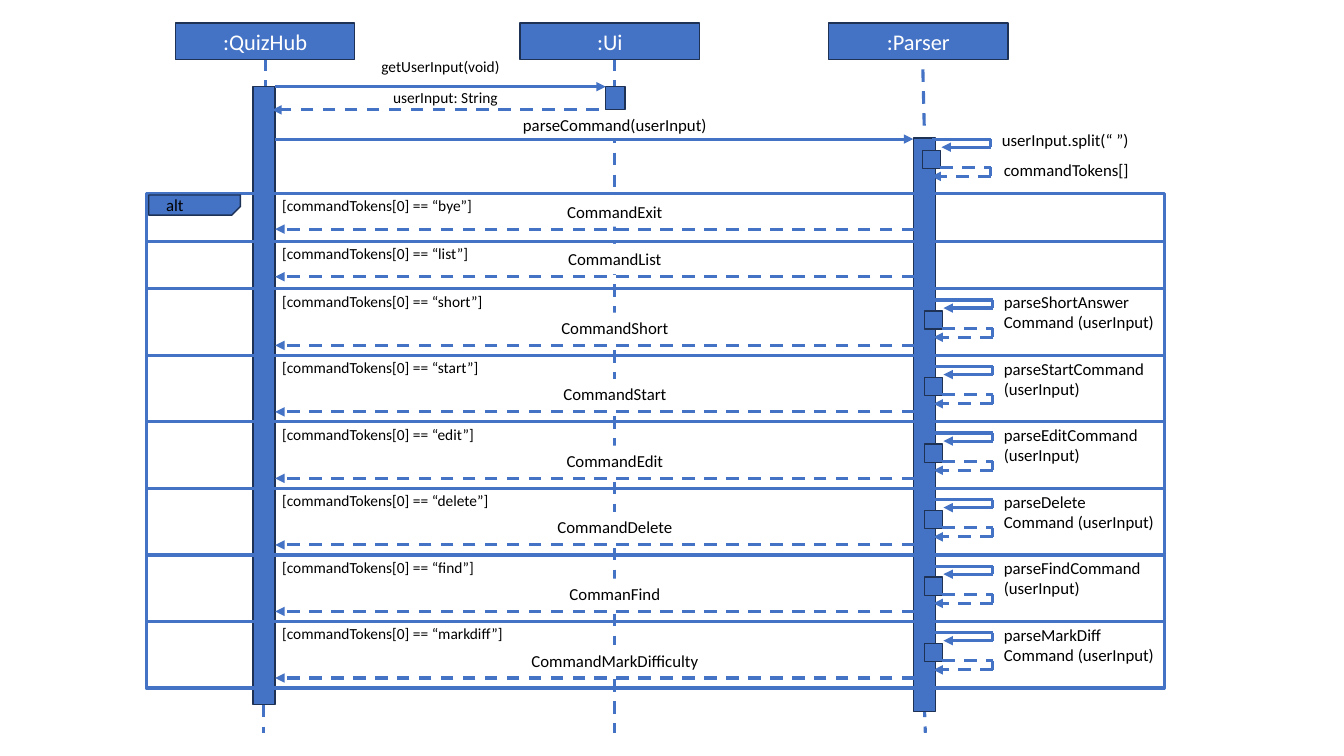
from lxml.etree import SubElement
from pptx import Presentation
from pptx.dml.color import RGBColor
from pptx.enum.dml import MSO_LINE
from pptx.enum.shapes import MSO_CONNECTOR, MSO_SHAPE
from pptx.enum.text import MSO_ANCHOR, MSO_AUTO_SIZE, PP_ALIGN
from pptx.oxml.ns import qn
from pptx.util import Inches, Pt

BLUE = RGBColor(0x44, 0x72, 0xC4)
NAVY = RGBColor(0x1E, 0x32, 0x56)
WHITE = RGBColor(0xFF, 0xFF, 0xFF)
BLACK = RGBColor(0x00, 0x00, 0x00)

CELL = Inches(0.1)
COLUMNS, ROWS = 133.33, 75
UI_LINE = 61
QUIZ_EDGE, PARSER_EDGE = 27.3, 90.6
BAR_WIDTH, SQUARE = 2.2, 1.8
FRAME_LEFT, FRAME_WIDTH, FRAME_TOP = 14.5, 101, 19.2
SHORT_ROW, TALL_ROW = 4.73, 6.6
LABEL_HEIGHT = 3

BODY = {"size": Pt(12), "name": "Calibri"}
SMALL = {"size": Pt(11), "name": "Calibri"}
HEADING = {"size": Pt(16), "name": "Calibri"}
GROWING = {"word_wrap": True, "auto_size": MSO_AUTO_SIZE.SHAPE_TO_FIT_TEXT}
MIDDLE = {"word_wrap": True, "vertical_anchor": MSO_ANCHOR.MIDDLE}

PARTICIPANTS = [(":QuizHub", 26.3), (":Ui", 60.5), (":Parser", 91.1)]
LIFELINES = [
    (26.3, 5.8, 26.3, 8.6),
    (UI_LINE, 5.8, UI_LINE, 8.6),
    (91.5, 4.7, 91.7, 12.9),
    (26.1, 69.9, 26.1, 72.7),
    (91.7, 69.9, 91.8, 72.7),
]
ALTERNATIVES = [
    ("bye", "CommandExit", 11.6, None),
    ("list", "CommandList", 11.6, None),
    ("short", "CommandShort", 12.8, "parseShortAnswer\nCommand (userInput)"),
    ("start", "CommandStart", 12.8, "parseStartCommand (userInput)"),
    ("edit", "CommandEdit", 12.8, "parseEditCommand (userInput)"),
    ("delete", "CommandDelete", 14.2, "parseDelete\nCommand (userInput)"),
    ("find", "CommanFind", 12.8, "parseFindCommand (userInput)"),
    ("markdiff", "CommandMarkDifficulty", 18.9, "parseMarkDiff\nCommand (userInput)"),
]


def cells(*counts):
    """Turn counts of grid cells into slide lengths."""
    return [round(count * CELL) for count in counts]


def apply(target, formats):
    """Set each format value on the target."""
    for name, value in formats.items():
        setattr(target, name, value)


def write(box, text, font, color=BLACK, align=PP_ALIGN.LEFT, frame=GROWING):
    """Write one paragraph for each line of text."""
    apply(box.text_frame, frame)
    for index, line in enumerate(text.split("\n")):
        paras = box.text_frame
        para = paras.add_paragraph() if index else paras.paragraphs[0]
        para.alignment = align
        span = para.add_run()
        span.text = line
        apply(span.font, font)
        span.font.color.rgb = color


def add_text(page, place, text, font=BODY, align=PP_ALIGN.LEFT):
    """Add a plain text box."""
    write(page.shapes.add_textbox(*cells(*place)), text, font, align=align)


def add_box(page, place, fill=BLUE, line=NAVY, width=1, kind=MSO_SHAPE.RECTANGLE):
    """Add a preset shape; None leaves out the fill or the line."""
    box = page.shapes.add_shape(kind, *cells(*place))
    box.shadow.inherit = False
    if fill is None:
        box.fill.background()
    else:
        box.fill.solid()
        box.fill.fore_color.rgb = fill
    if line is None:
        box.line.fill.background()
    else:
        box.line.color.rgb = line
        box.line.width = Pt(width)
    return box


def add_label(page, top, width, text):
    """Add a white label centred on the Ui lifeline."""
    box = add_box(page, (UI_LINE - width / 2, top, width, LABEL_HEIGHT), WHITE, None)
    write(box, text, BODY, align=PP_ALIGN.CENTER)


def add_line(page, ends, dashed=False, arrow=False):
    """Add a straight line, with an arrowhead at its end if asked."""
    line = page.shapes.add_connector(MSO_CONNECTOR.STRAIGHT, *cells(*ends))
    line.line.color.rgb = BLUE
    line.line.width = Pt(2.25)
    if dashed:
        line.line.dash_style = MSO_LINE.DASH
    if arrow:
        SubElement(line.line._get_or_add_ln(), qn("a:tailEnd"), type="triangle")
    SubElement(line._element.spPr, qn("a:effectLst"))


def add_hook(page, start, turn, end, top, drop, dashed):
    """Add a line that goes right, turns down and comes back as an arrow."""
    add_line(page, (start, top, turn, top), dashed)
    add_line(page, (turn, top, turn, top + drop), dashed)
    add_line(page, (turn, top + drop, end, top + drop), dashed, arrow=True)


def add_self_call(page, left, top):
    """Add a call from the Parser to itself, with its activation and return."""
    turn = left + 6.8
    add_hook(page, left + 1, turn, left + 1.9, top, 0.8, dashed=False)
    add_box(page, (left, top + 1.1, SQUARE, SQUARE))
    add_hook(page, left + 1.8, turn, left + 0.9, top + 2.8, 0.9, dashed=True)


def add_alternative(page, top, height, guard, result, width, call):
    """Add one row of the alt frame."""
    add_box(page, (FRAME_LEFT, top, FRAME_WIDTH, height), None, BLUE, 2.25)
    add_text(page, (27, top - 0.2, 36, LABEL_HEIGHT), f"[commandTokens[0] == “{guard}”]", SMALL)
    reply = top + height - (1 if call else 1.2)
    add_line(page, (PARSER_EDGE + 0.1, reply, QUIZ_EDGE, reply), dashed=True, arrow=True)
    add_label(page, reply - 3.25, width, result)
    if call:
        add_self_call(page, 91.7, top + 1.1)
        add_text(page, (98.6, top - 0.2, 16.9, 5), call)


def add_alt_frame(page):
    """Stack the alternatives and put the alt tag in the first."""
    top = FRAME_TOP
    for guard, result, width, call in ALTERNATIVES:
        height = TALL_ROW if call else SHORT_ROW
        add_alternative(page, top, height, guard, result, width, call)
        top += height
    tag = add_box(page, (18.3, 15.8, 2, 9.1), kind=MSO_SHAPE.SNIP_1_RECTANGLE)
    tag.rotation = 90
    tag.adjustments[0] = 0.43
    add_text(page, (15.5, 18.8, 8, LABEL_HEIGHT), "alt")


def add_participants(page):
    """Add the headings, lifelines and activation bars."""
    for ends in LIFELINES:
        add_line(page, ends, dashed=True)
    for name, centre in PARTICIPANTS:
        box = add_box(page, (centre - 8.9, 2.3, 17.8, 3.6))
        write(box, name, HEADING, WHITE, PP_ALIGN.CENTER, MIDDLE)
    add_box(page, (25.1, 8.6, BAR_WIDTH, 61.3))
    add_box(page, (60.1, 8.6, 1.9, 2.3))
    add_box(page, (PARSER_EDGE, 13.7, BAR_WIDTH, 56.9))


def add_opening_messages(page):
    """Add the messages that come before the alt frame."""
    add_line(page, (QUIZ_EDGE, 8.6, 60.1, 8.6), arrow=True)
    add_text(page, (35.8, 5.2, 15.8, 2.9), "getUserInput(void)", SMALL, PP_ALIGN.CENTER)
    add_line(page, (59.4, 10.9, 27, 10.9), dashed=True, arrow=True)
    add_text(page, (33.5, 8.2, 21.4, 2.9), "userInput: String", SMALL, PP_ALIGN.CENTER)
    add_line(page, (QUIZ_EDGE, 13.8, PARSER_EDGE, 13.8), arrow=True)
    add_self_call(page, 91.5, 13.8)
    add_text(page, (98.4, 12.4, 20.3, LABEL_HEIGHT), "userInput.split(“ ”)")
    add_text(page, (98.6, 15.4, 20.3, LABEL_HEIGHT), "commandTokens[]")


def main():
    """Build the sequence diagram and save it."""
    deck = Presentation()
    deck.slide_width, deck.slide_height = cells(COLUMNS, ROWS)
    page = deck.slides.add_slide(deck.slide_layouts[6])
    add_line(page, (UI_LINE, 10.8, UI_LINE, 72.7), dashed=True)
    add_label(page, 10.9, 20.3, "parseCommand(userInput)")
    add_participants(page)
    add_opening_messages(page)
    add_alt_frame(page)
    deck.save("out.pptx")


if __name__ == "__main__":
    main()
